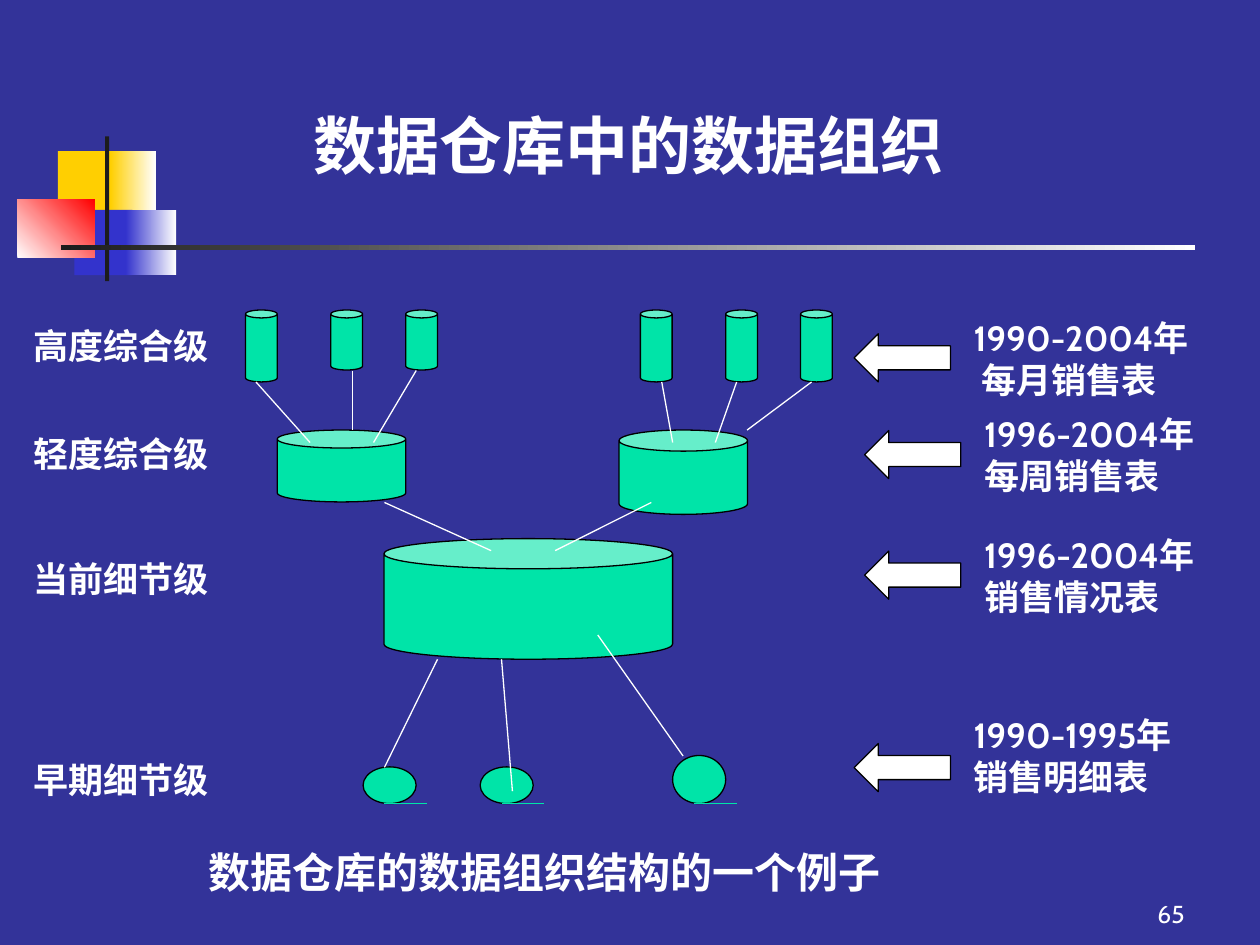
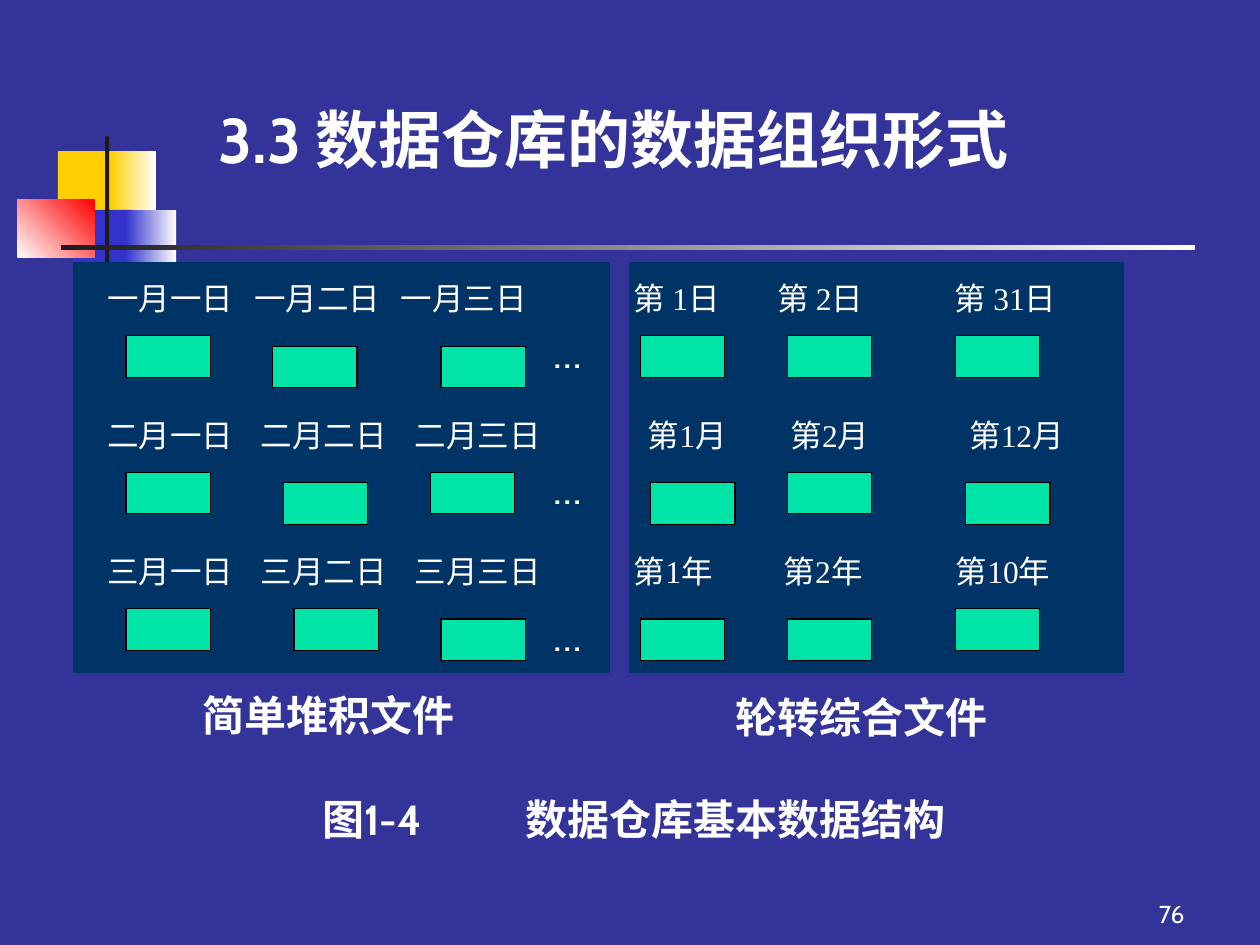
from lxml import etree
from pptx import Presentation
from pptx.dml.color import RGBColor
from pptx.enum.shapes import MSO_CONNECTOR, MSO_SHAPE
from pptx.enum.text import MSO_ANCHOR, MSO_AUTO_SIZE, PP_ALIGN
from pptx.oxml.ns import qn
from pptx.util import Cm, Pt

RECT, CAN, OVAL = MSO_SHAPE.RECTANGLE, MSO_SHAPE.CAN, MSO_SHAPE.OVAL
LEFT_ARROW, STRAIGHT = MSO_SHAPE.LEFT_ARROW, MSO_CONNECTOR.STRAIGHT
LEFT, CENTER, RIGHT = PP_ALIGN.LEFT, PP_ALIGN.CENTER, PP_ALIGN.RIGHT
TOP, MIDDLE, BOTTOM = MSO_ANCHOR.TOP, MSO_ANCHOR.MIDDLE, MSO_ANCHOR.BOTTOM
TITLE_ONLY = 5

COLORS = {
    "background": "333399", "white": "FFFFFF", "black": "000000",
    "green": "00E4A8", "panel": "003366", "yellow": "FFCF01",
    "blue": "3333CC", "red": "FF0000", "ink": "1C1C1C",
}
FONT, DATE_FONT = "Cabin", "Times New Roman"


def rgb(name):
    return RGBColor.from_string(COLORS[name])


def place(shape, box):
    shape.left, shape.top, shape.width, shape.height = map(Cm, box)


def style(p, size, bold=False, align=LEFT, font=FONT):
    p.alignment = align
    p.font.name, p.font.size, p.font.bold = font, Pt(size), bold
    p.font.color.rgb = rgb("white")


def add_tabs(p, stops):
    tabs = etree.SubElement(p._p.get_or_add_pPr(), qn("a:tabLst"))
    for stop in stops:
        etree.SubElement(tabs, qn("a:tab"), pos=str(Cm(stop)), algn="l")


def add_shape(s, kind, box, fill, line=None):
    sp = s.shapes.add_shape(kind, *map(Cm, box))
    sp.shadow.inherit = False
    sp.fill.solid()
    sp.fill.fore_color.rgb = rgb(fill)
    if line:
        sp.line.color.rgb = rgb(line)
        sp.line.width = Pt(0.75)
    else:
        sp.line.fill.background()
    return sp


def add_line(s, x1, y1, x2, y2, color="white"):
    line = s.shapes.add_connector(STRAIGHT, *map(Cm, (x1, y1, x2, y2)))
    line.line.color.rgb = rgb(color)
    line.line.width = Pt(0.75)
    etree.SubElement(line._element.spPr, qn("a:effectLst"))


def add_text(s, box, text, size, bold=False, align=LEFT, anchor=TOP, font=FONT, tabs=()):
    """Add a text box; tabs holds the tab stops of each paragraph."""
    tf = s.shapes.add_textbox(*map(Cm, box)).text_frame
    tf.word_wrap = True
    tf.vertical_anchor = anchor
    tf.text = text
    for p, stops in zip(tf.paragraphs, tabs):
        add_tabs(p, stops)
    for p in tf.paragraphs:
        style(p, size, bold, align, font)
    return tf


def add_slide(prs, title, title_box, number):
    s = prs.slides.add_slide(prs.slide_layouts[TITLE_ONLY])
    place(s.shapes.title, title_box)
    tf = s.shapes.title.text_frame
    tf.text = title
    tf.auto_size = MSO_AUTO_SIZE.NONE
    tf.vertical_anchor = MIDDLE
    style(tf.paragraphs[0], 36, True, CENTER)
    add_text(s, (18.85, 17.58, 5.28, 1.27), number, 14, align=RIGHT, anchor=BOTTOM)
    return s


def decorate_master(prs, s):
    """Draw the ornament on slide s, then move it to the master."""
    master = prs.slide_master
    master.background.fill.solid()
    master.background.fill.fore_color.rgb = rgb("background")
    ornament = [
        ((1.17, 3.05, 1.22, 1.32), "yellow", None, 0),
        ((2.23, 3.05, 0.91, 1.32), "yellow", "white", 0),
        ((1.5, 4.23, 1.17, 1.32), "blue", None, 0),
        ((2.54, 4.23, 1.01, 1.32), "blue", "white", 0),
        ((0.35, 4.02, 1.56, 1.18), "white", "red", 45),
        ((2.12, 2.75, 0.08, 2.92), "ink", None, 0),
        ((1.23, 4.94, 22.86, 0.1), "ink", "white", 0),
    ]
    for i, (box, start, end, angle) in enumerate(ornament):
        sp = add_shape(s, RECT, box, start)
        if end:
            sp.fill.gradient()
            sp.fill.gradient_angle = angle
            for stop, color in zip(sp.fill.gradient_stops, (start, end)):
                stop.color.rgb = rgb(color)
        sp._element.nvSpPr.cNvPr.set("id", str(100 + i))
        master.shapes._spTree.append(sp._element)


def draw_storage_tree(s, x, y):
    def green(kind, left, top, w, h):
        add_shape(s, kind, (x + left, y + top, w, h), "green", "black")

    oval_w, oval_bottom = 1.07, 9.95
    ovals = [(2.37, 0.74), (4.73, 0.74), (8.61, 0.97)]
    for left, h in ovals:
        green(OVAL, left, oval_bottom - h, oval_w, h)
    green(CAN, 2.79, 4.61, 5.82, 2.43)
    for left, h in [(0.64, 1.45), (7.53, 1.7)]:
        green(CAN, left, 2.42, 2.59, h)
    for left, h in [(0, 1.45), (1.72, 1.21), (3.23, 1.21),
                    (7.96, 1.45), (9.68, 1.45), (11.19, 1.45)]:
        green(CAN, left, 0, 0.64, h)

    links = [
        (0.21, 1.45, 1.3, 2.67), (2.15, 1.22, 2.15, 2.41), (3.44, 1.22, 2.58, 2.67),
        (8.39, 1.45, 8.61, 2.67), (9.9, 1.45, 9.47, 2.67), (11.41, 1.45, 10.11, 2.42),
        (2.8, 3.88, 4.95, 4.85), (8.18, 3.88, 6.24, 4.85),
        (3.87, 7.04, 2.8, 9.22), (5.16, 7.04, 5.38, 9.7), (7.1, 6.55, 8.82, 8.99),
    ]
    for x1, y1, x2, y2 in links:
        add_line(s, x + x1, y + y1, x + x2, y + y2)
    for left, _ in ovals:
        start, level = x + left + 0.43, y + oval_bottom
        add_line(s, start, level, start + 0.86, level, "green")


def draw_level_names(s, x, y):
    levels = [("高度综合级", 0), ("轻度综合级", 2.18), ("当前细节级", 4.7), ("早期细节级", 8.75)]
    for name, top in levels:
        add_text(s, (x, y + top, 4.8, 1.12), name, 20, True)


def draw_periods(s, x, y):
    """Arrows with the period and table that each level holds."""
    periods = [
        (0, 0.48, 0, "1990-2004年\n每月销售表"),
        (0.21, 2.43, 1.95, "1996-2004年\n每周销售表"),
        (0.21, 4.86, 4.38, "1996-2004年\n销售情况表"),
        (0, 8.74, 8, "1990-1995年\n销售明细表"),
    ]
    for i, (left, arrow_top, text_top, text) in enumerate(periods):
        add_shape(s, LEFT_ARROW, (x + left, y + arrow_top, 1.94, 0.97), "white", "black")
        tf = add_text(s, (x + left + 2.16, y + text_top, 5.6, 2.2), text, 20, True)
        if i == 0:
            tf.paragraphs[1]._p.get_or_add_pPr().set("marL", str(Cm(0.15)))


def draw_blocks(s, x, y, rows):
    """Rows of (left, lowered) blocks inside a panel."""
    for i, row in enumerate(rows):
        for left, lowered in row:
            top = 1.48 + 2.75 * i + 0.21 * lowered
            add_shape(s, RECT, (x + left, y + top, 1.7, 0.84), "green", "black")


def draw_dates(s, box):
    rows = [
        ("一月一日\t一月二日\t一月三日\t第 1日\t第 2日\t第 31日",
         (2.97, 5.92, 10.62, 13.51, 17.09)),
        ("二月一日\t二月二日\t二月三日\t第1月\t第2月\t第12月",
         (3.1, 6.2, 10.9, 13.78, 17.38)),
        ("三月一日\t三月二日\t三月三日\t第1年\t第2年\t第10年",
         (3.1, 6.2, 10.62, 13.64, 17.11)),
    ]
    texts, tabs = zip(*rows)
    tf = add_text(s, box, "\n".join(texts), 18, font=DATE_FONT, tabs=tabs)
    for i, p in enumerate(tf.paragraphs):
        p.line_spacing = Pt(26)
        p.space_before = Pt(52 if i else 0)


def build_levels_slide(prs):
    s = add_slide(prs, "数据仓库中的数据组织", (3.99, 1.44, 17.35, 2.95), "65")
    decorate_master(prs, s)
    add_text(s, (3.96, 16.94, 15.5, 1.27), "数据仓库的数据组织结构的一个例子", 24, True)
    draw_level_names(s, 0.43, 6.42)
    draw_periods(s, 17.22, 6.25)
    draw_storage_tree(s, 4.95, 6.25)


def build_files_slide(prs):
    s = add_slide(prs, "3.3 数据仓库的数据组织形式", (3.22, 1.32, 18.29, 2.95), "76")
    top, height = 5.29, 8.26
    simple, rolling = 1.48, 12.7
    for left, width in [(rolling, 9.95), (simple, 10.8)]:
        add_shape(s, RECT, (left, top, width, height), "panel", "panel")
    draw_dates(s, (1.91, 5.35, 21.16, 8))
    draw_blocks(s, simple, top, [
        [(1.06, 0), (4.02, 1), (7.41, 1)],
        [(1.06, 0), (4.23, 1), (7.2, 0)],
        [(1.06, 0), (4.45, 0), (7.41, 1)],
    ])
    draw_blocks(s, rolling, top, [
        [(0.21, 0), (3.17, 0), (6.56, 0)],
        [(0.42, 1), (3.17, 0), (6.77, 1)],
        [(0.21, 1), (3.17, 1), (6.56, 0)],
    ])
    for offset in (1.17, 3.91, 6.88):
        add_text(s, (simple + 9.42, top + offset, 1.35, 1.27), "…", 24)
    add_text(s, (simple + 2.36, top + 8.48, 6, 1.27), "简单堆积文件", 24, True)
    add_text(s, (rolling + 1.88, top + 8.53, 6, 1.27), "轮转综合文件", 24, True)
    add_text(s, (6.25, 15.88, 14, 1.27), "图1-4\t数据仓库基本数据结构", 24, True,
             tabs=[(4.09,)])


def main():
    prs = Presentation()
    prs.slide_width, prs.slide_height = Cm(25.4), Cm(19.05)
    build_levels_slide(prs)
    build_files_slide(prs)
    prs.save("out.pptx")


if __name__ == "__main__":
    main()
